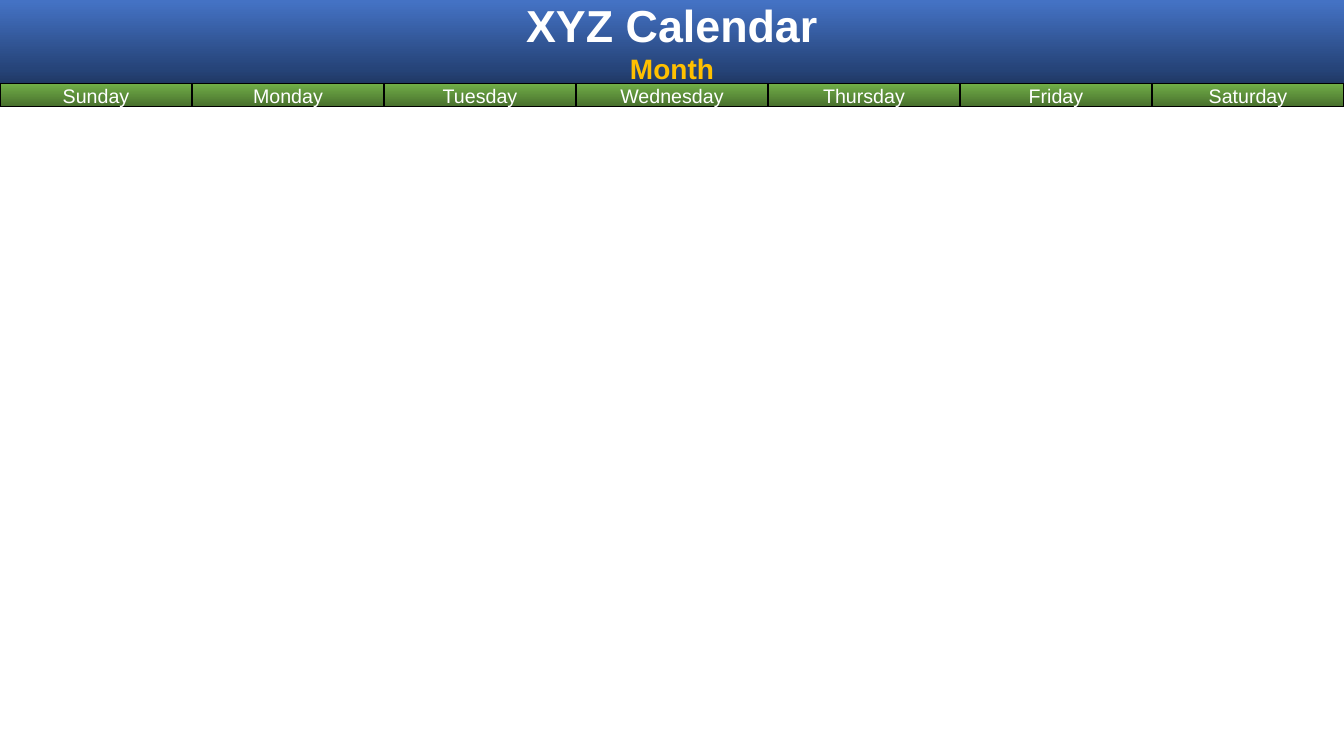
from copy import deepcopy

from pptx import Presentation
from pptx.dml.color import RGBColor
from pptx.enum.shapes import MSO_SHAPE
from pptx.enum.text import MSO_ANCHOR, MSO_AUTO_SIZE, PP_ALIGN
from pptx.oxml.ns import qn
from pptx.util import Inches, Pt

WHITE = RGBColor(0xFF, 0xFF, 0xFF)
BLACK = RGBColor(0x00, 0x00, 0x00)
GOLD = RGBColor(0xFF, 0xC0, 0x00)
BLUE = RGBColor(0x44, 0x72, 0xC4)
DEEP_BLUE = RGBColor(0x26, 0x44, 0x79)
NAVY = RGBColor(0x20, 0x38, 0x64)
GREEN = RGBColor(0x70, 0xAD, 0x47)
DARK_GREEN = RGBColor(0x48, 0x6F, 0x2D)

FONT = "Arial"
DAYS = ["Sunday", "Monday", "Tuesday", "Wednesday", "Thursday", "Friday", "Saturday"]
BANNER_SHARE = 0.83 / 7.5
DAY_ROW_SHARE = 0.23 / 7.5
BANNER_STOPS = [(0.02, BLUE), (0.82, DEEP_BLUE), (1, NAVY)]
DAY_STOPS = [(0.02, GREEN), (1, DARK_GREEN)]


def fill_downward(shape, stops):
    shape.fill.gradient()
    shape.fill.gradient_angle = 270
    stop_list = next(shape._element.iter(qn("a:gsLst")))
    while len(stop_list) < len(stops):
        stop_list.append(deepcopy(stop_list[-1]))
    for stop, (position, color) in zip(shape.fill.gradient_stops, stops):
        stop.position = position
        stop.color.rgb = color


def write_lines(shape, lines):
    frame = shape.text_frame
    frame.word_wrap = True
    frame.auto_size = MSO_AUTO_SIZE.NONE
    frame.vertical_anchor = MSO_ANCHOR.MIDDLE
    frame.margin_top = frame.margin_bottom = 0
    for index, (text, size, color, bold) in enumerate(lines):
        para = frame.add_paragraph() if index else frame.paragraphs[0]
        para.alignment = PP_ALIGN.CENTER
        span = para.add_run()
        span.text = text
        span.font.name = FONT
        span.font.size = Pt(size)
        span.font.bold = bold
        span.font.color.rgb = color


def add_banner(page, left, top, width, height):
    banner = page.shapes.title
    banner.left, banner.top, banner.width, banner.height = left, top, width, height
    fill_downward(banner, BANNER_STOPS)
    write_lines(banner, [("XYZ Calendar", 32, WHITE, True), ("Month", 20, GOLD, True)])


def add_day_row(page, left, top, width, height):
    row = page.shapes.add_group_shape()
    column = width / len(DAYS)
    for index, day in enumerate(DAYS):
        box = row.shapes.add_shape(
            MSO_SHAPE.RECTANGLE, round(left + index * column), top, round(column), height
        )
        box.shadow.inherit = False
        fill_downward(box, DAY_STOPS)
        box.line.color.rgb = BLACK
        box.line.width = Pt(1)
        write_lines(box, [(day, 14, WHITE, False)])


def main():
    deck = Presentation()
    deck.slide_width, deck.slide_height = Inches(13.33), Inches(7.5)
    page = deck.slides.add_slide(deck.slide_layouts[5])
    banner_height = round(deck.slide_height * BANNER_SHARE)
    day_row_height = round(deck.slide_height * DAY_ROW_SHARE)
    add_banner(page, 0, 0, deck.slide_width, banner_height)
    add_day_row(page, 0, banner_height, deck.slide_width, day_row_height)
    deck.save("out.pptx")


if __name__ == "__main__":
    main()
